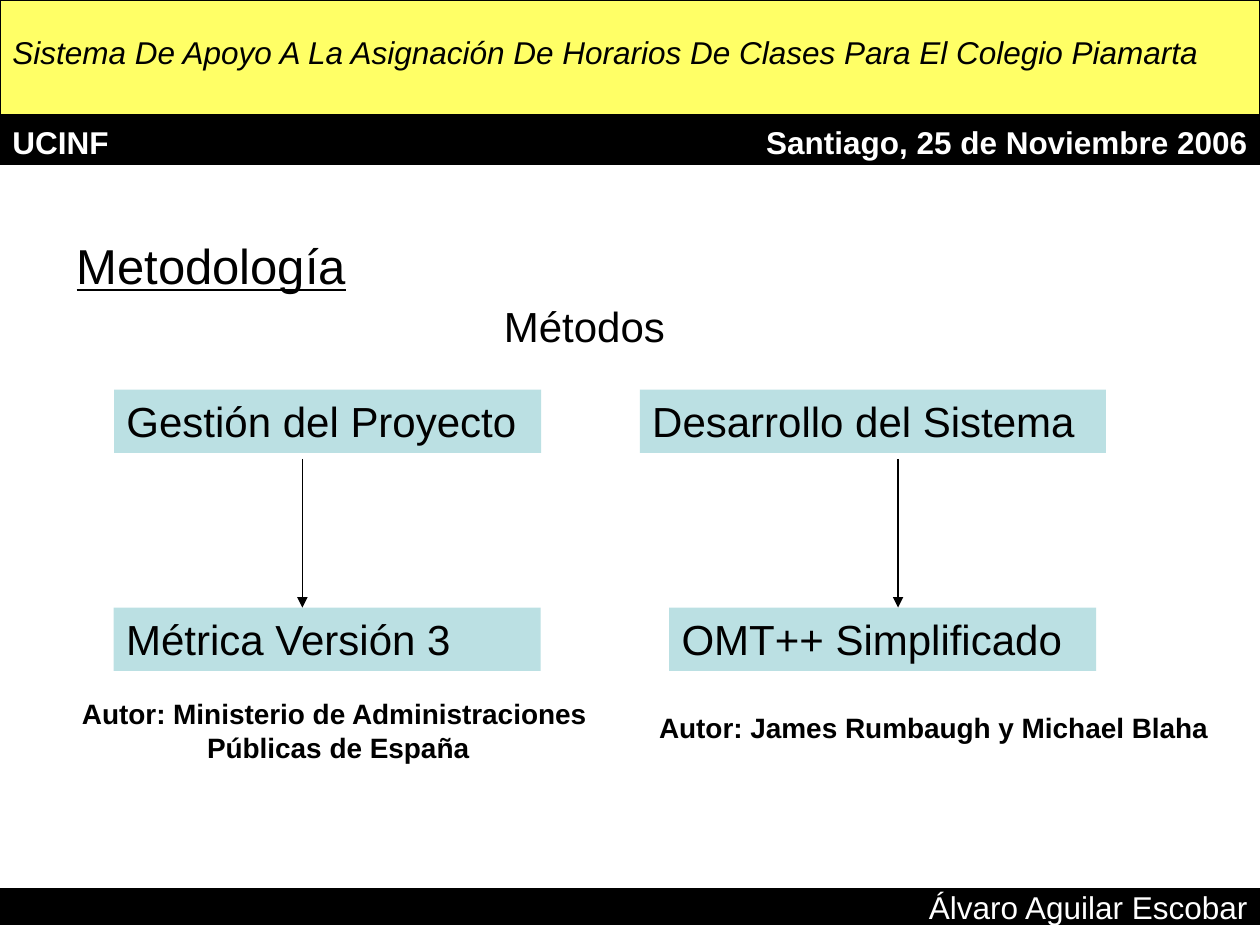
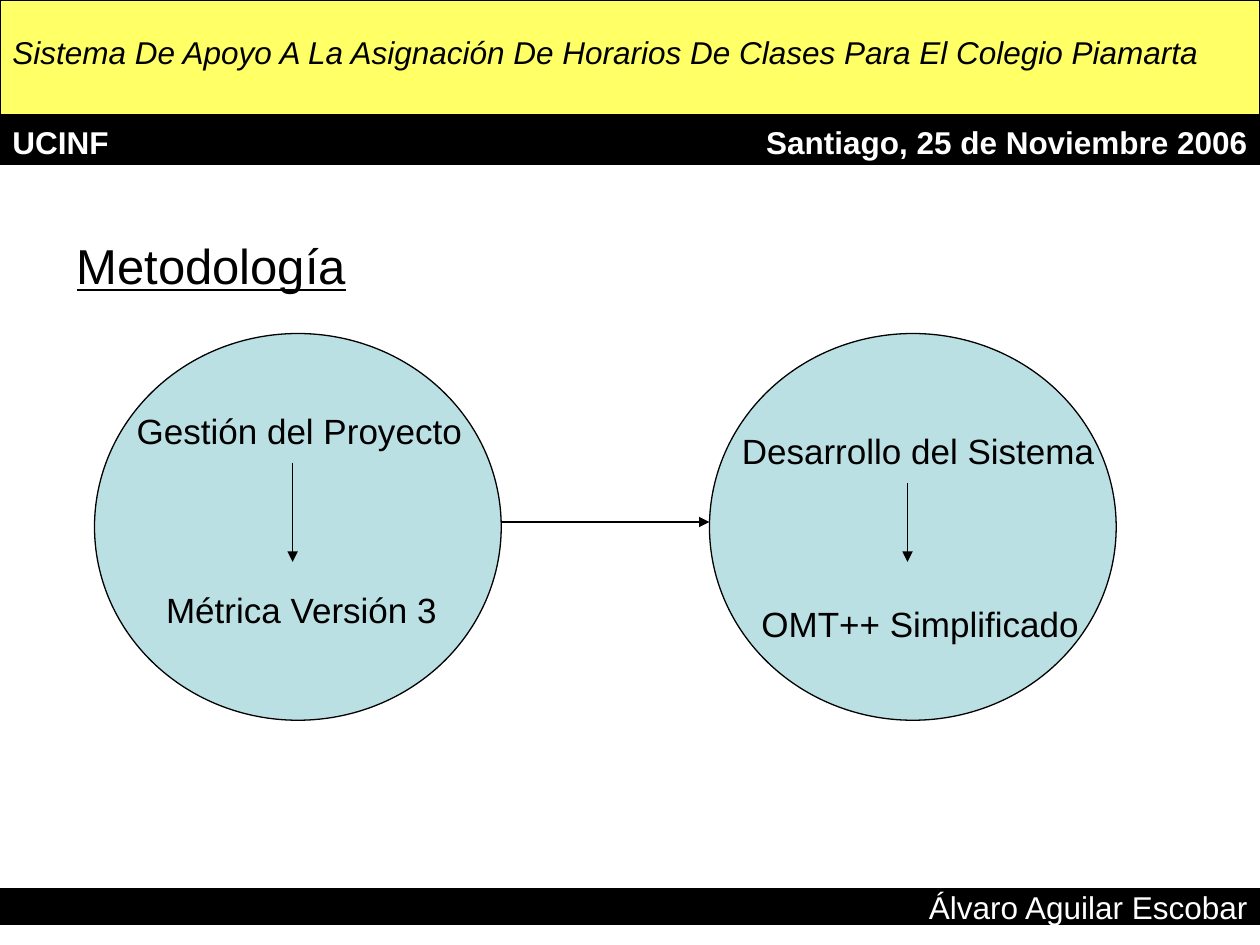
import dataclasses

import lxml.etree
import pptx
import pptx.dml.color
import pptx.enum.shapes
import pptx.enum.text
import pptx.oxml.ns
import pptx.util

Pt = pptx.util.Pt
RGB = pptx.dml.color.RGBColor
Align = pptx.enum.text.PP_ALIGN
Anchor = pptx.enum.text.MSO_ANCHOR
Preset = pptx.enum.shapes.MSO_SHAPE


@dataclasses.dataclass(frozen=True)
class Theme:
    font: str = "Arial"
    ink: RGB = RGB(0x00, 0x00, 0x00)
    paper: RGB = RGB(0xFF, 0xFF, 0xFF)
    banner: RGB = RGB(0xFF, 0xFF, 0x66)
    panel: RGB = RGB(0xBB, 0xE0, 0xE3)
    title_size: int = 28
    panel_size: int = 24
    circle_size: int = 20
    band_size: int = 18
    author_size: int = 16
    stroke: float = 0.75


THEME = Theme()
WIDTH, HEIGHT = 720, 540
PROJECT, SYSTEM = "Gestión del Proyecto", "Desarrollo del Sistema"
METRICA, OMT = "Métrica Versión 3", "OMT++ Simplificado"


def write(shape, text, size, color=THEME.ink, align=Align.LEFT, anchor=Anchor.TOP,
          wrap=True, bold=False, italic=False, underline=False):
    frame = shape.text_frame
    frame.text = text
    frame.word_wrap = wrap
    frame.vertical_anchor = anchor
    frame.margin_left = frame.margin_right = Pt(7.2)
    frame.margin_top = frame.margin_bottom = Pt(3.6)
    for paragraph in frame.paragraphs:
        paragraph.alignment = align
        for run in paragraph.runs:
            font = run.font
            font.name = THEME.font
            font.size = Pt(size)
            font.color.rgb = color
            font.bold = bold
            font.italic = italic
            font.underline = underline


def add_label(slide, box, text, size, **style):
    label = slide.shapes.add_textbox(*map(Pt, box))
    write(label, text, size, **style)
    return label


def add_block(slide, box, fill, preset=Preset.RECTANGLE, outlined=True):
    block = slide.shapes.add_shape(preset, *map(Pt, box))
    block.shadow.inherit = False
    block.fill.solid()
    block.fill.fore_color.rgb = fill
    if outlined:
        block.line.color.rgb = THEME.ink
        block.line.width = Pt(THEME.stroke)
    else:
        block.line.fill.background()
    return block


def add_panel(slide, box, text):
    panel = add_block(slide, box, THEME.panel, outlined=False)
    write(panel, text, THEME.panel_size)


def add_arrow(slide, *ends):
    arrow = slide.shapes.add_connector(
        pptx.enum.shapes.MSO_CONNECTOR.STRAIGHT, *map(Pt, ends))
    arrow.line.color.rgb = THEME.ink
    arrow.line.width = Pt(THEME.stroke)
    qn = pptx.oxml.ns.qn
    outline = arrow.line._get_or_add_ln()
    lxml.etree.SubElement(outline, qn("a:tailEnd"), type="triangle")
    lxml.etree.SubElement(arrow._element.spPr, qn("a:effectLst"))


def add_framed_slide(deck, title):
    slide = deck.slides.add_slide(deck.slide_layouts[6])
    size = THEME.band_size
    add_block(slide, (0, 0, WIDTH, 65.6), THEME.banner)
    add_block(slide, (0, 65.6, WIDTH, 28.2), THEME.ink)
    add_block(slide, (0, 507.6, WIDTH, 20.9), THEME.ink)
    add_label(slide, (0, 15.1, WIDTH, 28.8),
              "Sistema De Apoyo A La Asignación De Horarios De Clases "
              "Para El Colegio Piamarta", size, italic=True)
    add_label(slide, (0, 66.6, 320, 28.8), "UCINF", size,
              color=THEME.paper, bold=True)
    add_label(slide, (400, 66.6, 320, 28.8), "Santiago, 25 de Noviembre 2006", size,
              color=THEME.paper, bold=True, align=Align.RIGHT)
    add_label(slide, (338, 504.1, 382, 28.8), "Álvaro Aguilar Escobar", size,
              color=THEME.paper, align=Align.RIGHT)
    add_label(slide, (36.7, 134.2, 683.3, 34.6), title, THEME.title_size,
              anchor=Anchor.MIDDLE, underline=True)
    return slide


def build_methods(deck):
    slide = add_framed_slide(deck, "Metodología")
    add_label(slide, (280.8, 167.9, 118.8, 36.2), "Métodos", THEME.panel_size)
    area_top, method_top, panel_height = 222.6, 347.2, 36.2
    columns = (
        (PROJECT, 65.2, 244, METRICA, 65, 172.8),
        (SYSTEM, 365.6, 266.4, OMT, 382.4, 513.2),
    )
    for area, area_left, area_width, method, method_left, arrow_x in columns:
        add_panel(slide, (area_left, area_top, area_width, panel_height), area)
        add_panel(slide, (method_left, method_top, 244, panel_height), method)
        add_arrow(slide, arrow_x, 262.2, arrow_x, method_top)
    add_label(slide, (39.6, 394.6, 307.4, 46),
              "Autor: Ministerio de Administraciones \nPúblicas de España",
              THEME.author_size, bold=True, wrap=False, align=Align.CENTER)
    rumbaugh = add_label(slide, (371.6, 402.1, 330.5, 26.6),
                         "Autor: James Rumbaugh y Michael Blaha",
                         THEME.author_size, bold=True, wrap=False,
                         anchor=Anchor.MIDDLE)
    rumbaugh.text_frame.margin_left = Pt(5)


def build_sequence(deck):
    slide = add_framed_slide(deck, "Metodología")
    circle_width, circle_height = 232.4, 221
    project_left, system_left = 54, 405.4
    circles = (
        (project_left, PROJECT, (71, 230.4, 203.8), METRICA, (87.8, 332.6, 181.4), 167.2),
        (system_left, SYSTEM, (416.8, 241.9, 232.6), OMT, (428, 340.6, 204.5), 518.6),
    )
    for left, area, area_spot, method, method_spot, arrow_x in circles:
        add_block(slide, (left, 190.6, circle_width, circle_height),
                  THEME.panel, Preset.OVAL)
        for text, spot in ((area, area_spot), (method, method_spot)):
            add_label(slide, (*spot, 31.7), text, THEME.circle_size)
        add_arrow(slide, arrow_x, area_spot[1] + 34, arrow_x, 321.1)
    add_arrow(slide, project_left + circle_width, 298.3, system_left, 298.3)


def main():
    deck = pptx.Presentation()
    deck.slide_width, deck.slide_height = Pt(WIDTH), Pt(HEIGHT)
    build_methods(deck)
    build_sequence(deck)
    deck.save("out.pptx")


if __name__ == "__main__":
    main()
